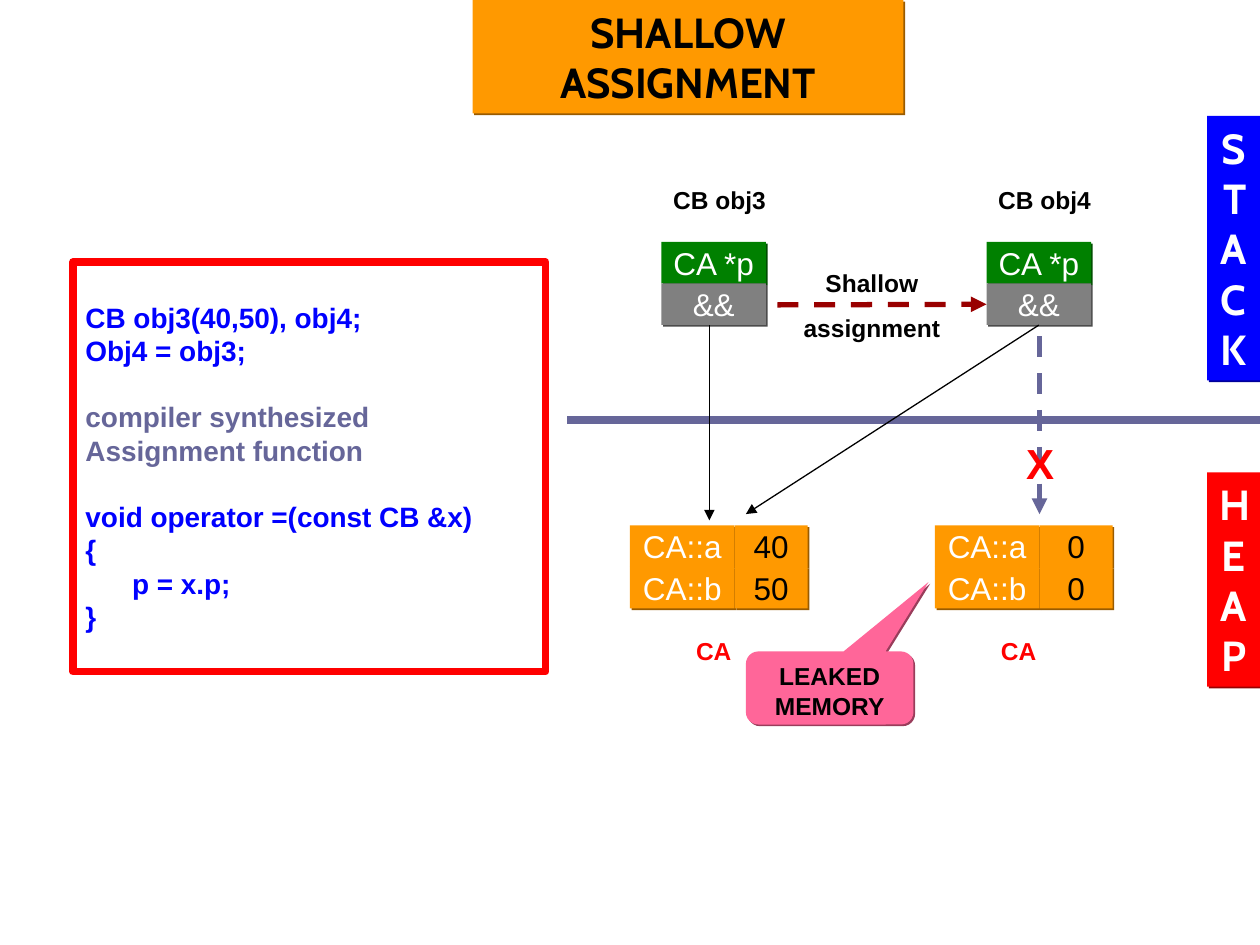
from lxml.etree import SubElement
from pptx import Presentation
from pptx.dml.color import RGBColor
from pptx.enum.dml import MSO_LINE
from pptx.enum.shapes import MSO_CONNECTOR, MSO_SHAPE
from pptx.enum.text import MSO_ANCHOR, MSO_AUTO_SIZE, PP_ALIGN
from pptx.oxml.ns import qn
from pptx.util import Inches, Pt

BLACK = RGBColor(0, 0, 0)
WHITE = RGBColor(0xFF, 0xFF, 0xFF)
ORANGE = RGBColor(0xFF, 0x99, 0x00)
BLUE = RGBColor(0x00, 0x00, 0xFF)
RED = RGBColor(0xFF, 0x00, 0x00)
GREEN = RGBColor(0x00, 0x80, 0x00)
GRAY = RGBColor(0x80, 0x80, 0x80)
PINK = RGBColor(0xFF, 0x66, 0x99)
SLATE = RGBColor(0x66, 0x66, 0x99)
MAROON = RGBColor(0x99, 0x00, 0x00)

HEADING = {"name": "Cabin", "size": Pt(24), "bold": True}
CELL = {"name": "Arial", "size": Pt(18), "bold": False}
LABEL = {"name": "Arial", "size": Pt(14), "bold": True}
CODE = {"name": "Arial", "size": Pt(16), "bold": True}
CROSS = {"name": "Arial", "size": Pt(24), "bold": True}

CELL_WIDTH = Inches(0.83)
VALUE_WIDTH = Inches(0.58)
ROW = Inches(0.33)
CODE_LINE = Pt(18.4)


def add_shadow(shape, fill):
    effects = SubElement(shape._element.spPr, qn("a:effectLst"))
    shadow = SubElement(effects, qn("a:outerShdw"), blurRad="0", dist=str(Pt(1.4)),
                        dir="2700000", algn="ctr", rotWithShape="0")
    shade = RGBColor(*(int(part * 0.6) for part in fill))
    SubElement(shadow, qn("a:srgbClr"), val=str(shade))


def write(shape, lines, style, color, align=PP_ALIGN.CENTER,
          anchor=MSO_ANCHOR.TOP, wrap=True, before=0):
    frame = shape.text_frame
    settings = {"word_wrap": wrap, "vertical_anchor": anchor,
                "auto_size": MSO_AUTO_SIZE.NONE,
                "margin_left": Inches(0.1), "margin_right": Inches(0.1),
                "margin_top": Inches(0.05), "margin_bottom": Inches(0.05)}
    for name, value in settings.items():
        setattr(frame, name, value)
    for index, line in enumerate(lines):
        para = frame.add_paragraph() if index else frame.paragraphs[0]
        para.alignment = align
        para.space_before = Pt(before)
        span = para.add_run()
        span.text = line
        for name, value in style.items():
            setattr(span.font, name, value)
        span.font.color.rgb = color
    return frame


def add_block(page, box, fill, kind=MSO_SHAPE.RECTANGLE):
    shape = page.shapes.add_shape(kind, *box)
    shape.shadow.inherit = False
    shape.fill.solid()
    shape.fill.fore_color.rgb = fill
    shape.line.fill.background()
    return shape


def add_raised(page, box, fill, kind=MSO_SHAPE.RECTANGLE):
    shape = add_block(page, box, fill, kind)
    shape._element.spPr.remove(shape._element.spPr.find(qn("a:effectLst")))
    add_shadow(shape, fill)
    return shape


def add_cell(page, box, text, fill, color=WHITE):
    cell = add_raised(page, box, fill)
    write(cell, [text], CELL, color, anchor=MSO_ANCHOR.MIDDLE, wrap=False)
    return cell


def add_label(page, box, lines, color=BLACK):
    write(page.shapes.add_textbox(*box), lines, LABEL, color, before=8.8)


def add_line(page, start, end, color, width, dashed=False, arrow=True):
    line = page.shapes.add_connector(MSO_CONNECTOR.STRAIGHT, *start, *end)
    line.line.color.rgb = color
    line.line.width = Pt(width)
    if dashed:
        line.line.dash_style = MSO_LINE.DASH
    if arrow:
        SubElement(line.line._get_or_add_ln(), qn("a:tailEnd"), type="triangle")
    SubElement(line._element.spPr, qn("a:effectLst"))
    return line


def place_title(page, box):
    title = page.shapes.title
    title.left, title.top, title.width, title.height = box
    title.fill.solid()
    title.fill.fore_color.rgb = ORANGE
    add_shadow(title, ORANGE)
    write(title, ["SHALLOW ASSIGNMENT"], HEADING, BLACK, before=15)


def place_region_tag(page, box, text, fill):
    write(add_raised(page, box, fill), [text], HEADING, WHITE, before=15)


def place_pointer_object(page, left, top, name):
    add_label(page, (left - Inches(0.08), top - Inches(0.5), Inches(1.08), Inches(0.34)), [name])
    add_cell(page, (left, top, CELL_WIDTH, ROW), "CA *p", GREEN)
    return add_cell(page, (left, top + ROW, CELL_WIDTH, ROW), "&&", GRAY)


def place_heap_object(page, left, top, values):
    for row, (field, value) in enumerate(zip(("CA::a", "CA::b"), values)):
        y = top + row * ROW
        add_cell(page, (left, y, CELL_WIDTH, ROW), field, ORANGE)
        add_cell(page, (left + CELL_WIDTH, y, VALUE_WIDTH, ROW), value, ORANGE, BLACK)
    add_label(page, (left + Inches(0.25), top + Inches(0.83), CELL_WIDTH, Inches(0.34)),
              ["CA"], RED)


def place_code(page, box):
    panel = add_block(page, box, WHITE)
    panel.line.color.rgb = RED
    panel.line.width = Pt(4.5)
    lines = ["CB obj3(40,50), obj4;", "Obj4 = obj3;",
             "compiler synthesized", "Assignment function",
             "void operator =(const CB &x)", "{", "p = x.p;", "}"]
    frame = write(panel, lines, CODE, BLUE, PP_ALIGN.LEFT, MSO_ANCHOR.MIDDLE)
    paras = frame.paragraphs
    for para in paras[2:4]:
        para.runs[0].font.color.rgb = SLATE
    for para in (paras[2], paras[4]):
        para.space_before = CODE_LINE
    paras[6]._p.get_or_add_pPr().set("marL", str(Inches(0.37)))


def place_leak_callout(page, box):
    callout = add_raised(page, box, PINK, MSO_SHAPE.ROUNDED_RECTANGULAR_CALLOUT)
    for index, value in enumerate((0.59, -1.45, 0.17)):
        callout.adjustments[index] = value
    write(callout, ["LEAKED MEMORY"], LABEL, BLACK)


def place_pointers(page, source, target):
    source_x = source.left + Inches(0.38)
    source_bottom = source.top + source.height
    target_x = target.left + target.width // 2
    arrow_end = Inches(4.08)
    add_line(page, (source_x, source_bottom), (source_x, Inches(4.13)), BLACK, 0.75)
    shared = add_line(page, (target_x, source_bottom), (Inches(5.92), arrow_end), BLACK, 0.75)
    shared.begin_connect(target, 2)
    copying = add_line(page, (Inches(6.17), Inches(2.42)), (target.left, Inches(2.42)),
                       MAROON, 3, dashed=True)
    copying.end_connect(target, 1)
    add_label(page, (Inches(6.17), Inches(2.08), Inches(1.5), Inches(0.69)),
              ["Shallow", "assignment"])
    add_line(page, (Inches(8.25), Inches(2.67)), (Inches(8.25), arrow_end),
             SLATE, 3, dashed=True)
    cross = page.shapes.add_textbox(Inches(8.13), Inches(3.42), Inches(0.25), Inches(0.33))
    write(cross, ["X"], CROSS, RED, wrap=False)


def main():
    deck = Presentation()
    deck.slide_width, deck.slide_height = Inches(10), Inches(7.5)
    page = deck.slides.add_slide(deck.slide_layouts[5])
    place_title(page, (Inches(3.75), 0, Inches(3.42), Inches(0.9)))
    for text, top, height, fill in (("STACK", 0.92, 2.1, BLUE), ("HEAP", 3.75, 1.7, RED)):
        place_region_tag(page, (Inches(9.58), Inches(top), Inches(0.42), Inches(height)),
                         text, fill)
    add_line(page, (Inches(4.5), Inches(3.33)), (Inches(10), Inches(3.33)),
             SLATE, 4.5, arrow=False)
    source, target = (place_pointer_object(page, Inches(left), Inches(1.92), name)
                      for left, name in ((5.25, "CB obj3"), (7.83, "CB obj4")))
    for left, values in ((5, ("40", "50")), (7.42, ("0", "0"))):
        place_heap_object(page, Inches(left), Inches(4.17), values)
    place_code(page, (Inches(0.58), Inches(2.08), Inches(3.75), Inches(3.25)))
    place_leak_callout(page, (Inches(5.92), Inches(5.17), Inches(1.33), Inches(0.58)))
    place_pointers(page, source, target)
    deck.save("out.pptx")


if __name__ == "__main__":
    main()
